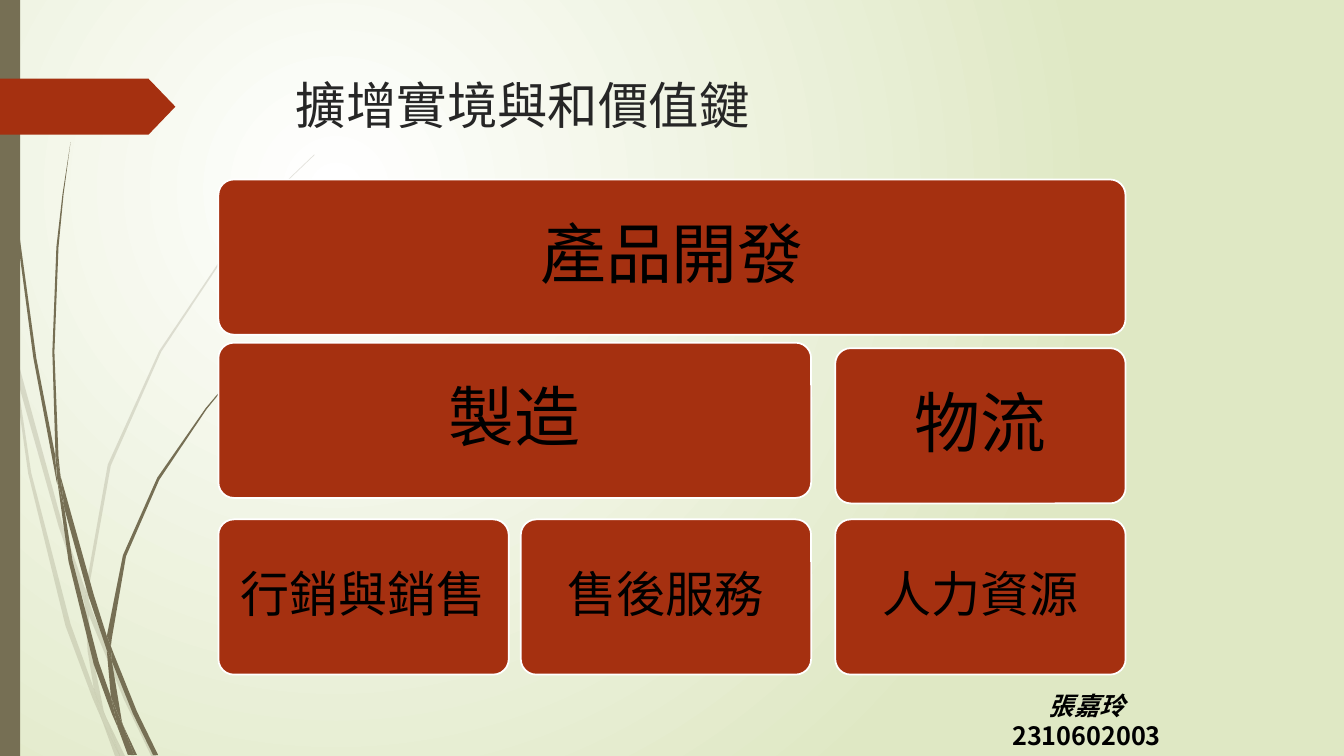
from dataclasses import dataclass

from lxml.etree import SubElement
from pptx import Presentation
from pptx.dml.color import RGBColor
from pptx.enum.shapes import MSO_SHAPE as Preset
from pptx.enum.text import MSO_ANCHOR as Anchor, MSO_AUTO_SIZE as AutoSize, PP_ALIGN as Align
from pptx.oxml.ns import qn
from pptx.shapes.autoshape import Shape
from pptx.slide import Slide
from pptx.text.text import _Paragraph as Paragraph
from pptx.util import Pt

Outline = list[tuple[float, float]]


@dataclass(frozen=True)
class Theme:
    white: str = "FFFFFF"
    green: str = "DFE8C4"
    olive: str = "766F54"
    rust: str = "A53010"
    ink: str = "262626"
    black: str = "000000"
    display_font: str = "League Spartan"
    body_font: str = "Noto Sans CJK SC"
    title_size: float = 36
    large_size: float = 47
    medium_size: float = 35
    author_size: float = 18


@dataclass(frozen=True)
class Card:
    label: str
    left: float
    top: float
    width: float
    size: float
    inset: float


@dataclass(frozen=True)
class Grass:
    opacity: int
    blades: list[Outline]


THEME = Theme()
COLUMNS = (156, 372, 596.6)
CARD_WIDTH, CARD_HEIGHT = 207.4, 110.9
TWO_WIDE = COLUMNS[1] - COLUMNS[0] + CARD_WIDTH
FULL_WIDE = COLUMNS[2] - COLUMNS[0] + CARD_WIDTH
BOTTOM_ROW = 371

CARDS = [
    Card("產品開發", COLUMNS[0], 128.2, FULL_WIDE, THEME.large_size, 14.4),
    Card("製造", COLUMNS[0], 244.8, TWO_WIDE, THEME.large_size, 14.4),
    Card("物流", COLUMNS[2], 248.7, CARD_WIDTH, THEME.large_size, 14.4),
] + [
    Card(label, left, BOTTOM_ROW, CARD_WIDTH, THEME.medium_size, 10.8)
    for label, left in zip(("行銷與銷售", "售後服務", "人力資源"), COLUMNS)
]

PALE_GRASS = Grass(20, [
    [(7.9, 252), (6.5, 231.8), (0, 203), (0, 215.3), (7.2, 247.7)],
    [(41.8, 375.8), (60.5, 431.3), (61.2, 421.9), (44.6, 374.4), (10.1, 248.4), (12.2, 270.7)],
    [(66.2, 437), (63.4, 429.1), (63.4, 439.2), (88.6, 499.7), (108, 540), (111.6, 540), (91.4, 498.2)],
    [(85.7, 540), (89.3, 540), (75.6, 511.9)],
    [(67, 491.8), (50.4, 445.7), (22.3, 337.7), (12.2, 270.7), (7.9, 252), (20.2, 338.4), (46.8, 447.1),
     (66.2, 499), (72.7, 514.1), (71.3, 509)],
    [(60.5, 431.3), (62.6, 465.1), (67, 491.8), (69.1, 498.2), (75.6, 511.9), (74.2, 508.3),
     (65.5, 465.1), (63.4, 439.2), (63.4, 437.8)],
    [(63.4, 420.5), (79.2, 332.6), (115.2, 251.3), (164.9, 176.4), (193, 142.6), (208.8, 126),
     (224.6, 110.9), (224.6, 110.2), (208.1, 126), (193, 141.8), (164.2, 175.7), (113.8, 250.6),
     (77, 331.9), (61.2, 420.5), (61.2, 421.9), (63.4, 429.1)],
    [(72.7, 514.1), (82.1, 540), (85.7, 540)],
    [(63.4, 437.8), (63.4, 439.2), (63.4, 429.1), (61.2, 421.9), (60.5, 431.3)],
    [(69.1, 498.2), (67, 491.8), (71.3, 509), (72.7, 514.1), (85.7, 540), (75.6, 511.9)],
])

DARK_GRASS = Grass(100, [
    [(5, 79.2), (12.2, 167.8), (23.8, 255.6), (40.3, 343.4), (41, 346.3), (39.6, 329), (39.6, 326.2),
     (25.9, 255.6), (13.7, 167), (5.8, 78.5), (3.6, 34.6), (2.9, 0), (2.2, 0), (2.9, 34.6)],
    [(63.4, 426.2), (76.3, 464.4), (76.3, 454.3), (67, 424.8), (43.2, 339.8), (46.1, 363.6)],
    [(81.4, 467.3), (79.2, 461.5), (79.9, 472.3), (95, 509.8), (109.4, 539.3), (113, 539.3), (97.9, 508.3)],
    [(79.2, 497.5), (70.6, 473), (51.8, 400.3), (46.1, 363.6), (41, 343.4), (49, 401), (67, 474.5),
     (79.9, 509.8), (84.2, 519.8), (83.5, 516.2)],
    [(43.2, 339.8), (41.8, 326.2), (38.9, 251.3), (41.8, 176.4), (45.4, 139), (50.4, 101.5),
     (44.6, 139), (40.3, 176.4), (37.4, 251.3), (39.6, 323.3)],
    [(95.8, 539.3), (97.9, 539.3), (87.8, 517.7)],
    [(41, 343.4), (46.1, 363.6), (43.2, 339.8), (39.6, 323.3), (39.6, 326.2)],
    [(79.9, 455.8), (90, 397.4), (113.8, 342.7), (147.6, 292.3), (166.3, 269.3), (176.4, 258.5),
     (187.9, 247.7), (187.2, 247.7), (176.4, 257.8), (166.3, 268.6), (146.9, 291.6), (112.3, 341.3),
     (87.8, 396.7), (76.3, 454.3), (79.2, 461.5)],
    [(84.2, 519.8), (91.4, 539.3), (94.3, 539.3)],
    [(76.3, 464.4), (79.2, 497.5), (83.5, 508.3), (87.8, 517.7), (87.1, 515.5), (79.9, 472.3), (78.5, 468.7)],
    [(76.3, 464.4), (78.5, 468.7), (79.9, 472.3), (79.2, 461.5), (76.3, 454.3)],
    [(83.5, 508.3), (79.2, 497.5), (83.5, 516.2), (84.2, 519.8), (93.6, 539.3), (95.8, 539.3), (87.8, 517.7)],
])


def paint(shape: Shape, color: str) -> None:
    shape.shadow.inherit = False
    shape.fill.solid()
    shape.fill.fore_color.rgb = RGBColor.from_string(color)
    shape.line.fill.background()


def format_runs(paragraph: Paragraph, size: float, font: str, color: str) -> None:
    for run in paragraph.runs:
        run.font.size = Pt(size)
        run.font.name = font
        run.font.color.rgb = RGBColor.from_string(color)
        SubElement(run.font._element, qn("a:ea"), typeface=THEME.body_font)


def draw_background(slide: Slide) -> None:
    fill = slide.background.fill
    fill.gradient()
    for stop, color, position in zip(fill.gradient_stops, (THEME.white, THEME.green), (0, 1)):
        stop.color.rgb = RGBColor.from_string(color)
        stop.position = position
    gradient = slide.element.find(f".//{qn('a:gradFill')}")
    linear = gradient.find(qn("a:lin"))
    circle = gradient.makeelement(qn("a:path"), {"path": "circle"})
    gradient.replace(linear, circle)
    SubElement(circle, qn("a:fillToRect"), l="50000", t="50000", r="100000", b="100000")


def draw_grass(slide: Slide, grass: Grass) -> None:
    for outline in grass.blades:
        start, *others = [(Pt(x), Pt(y)) for x, y in outline]
        builder = slide.shapes.build_freeform(*start)
        builder.add_line_segments(others, close=True)
        blade = builder.convert_to_shape()
        paint(blade, THEME.olive)
        if grass.opacity < 100:
            tint = blade._element.spPr.find(f"{qn('a:solidFill')}/{qn('a:srgbClr')}")
            SubElement(tint, qn("a:alpha"), val=str(grass.opacity * 1000))


def draw_card(slide: Slide, card: Card) -> None:
    panel = slide.shapes.add_shape(
        Preset.ROUNDED_RECTANGLE, Pt(card.left), Pt(card.top), Pt(card.width), Pt(CARD_HEIGHT)
    )
    panel.adjustments[0] = 0.1
    paint(panel, THEME.rust)
    panel.line.color.rgb = RGBColor.from_string(THEME.white)
    panel.line.width = Pt(1.25)
    frame = panel.text_frame
    frame.text = card.label
    frame.word_wrap = True
    frame.vertical_anchor = Anchor.MIDDLE
    frame.margin_left = frame.margin_right = frame.margin_top = frame.margin_bottom = Pt(card.inset)
    label = frame.paragraphs[0]
    label.alignment = Align.CENTER
    label.line_spacing = 0.9
    format_runs(label, card.size, THEME.display_font, THEME.black)


def draw_title(slide: Slide) -> None:
    title = slide.shapes.title
    title.left, title.top, title.width, title.height = Pt(204.2), Pt(49), Pt(702), Pt(100.8)
    frame = title.text_frame
    frame.text = "擴增實境與和價值鍵"
    frame.vertical_anchor = Anchor.TOP
    frame.auto_size = AutoSize.NONE
    frame.paragraphs[0].alignment = Align.LEFT
    format_runs(frame.paragraphs[0], THEME.title_size, THEME.display_font, THEME.ink)


def draw_author(slide: Slide) -> None:
    author = slide.shapes.add_textbox(Pt(714.6), Pt(489.2), Pt(123.1), Pt(50.8))
    frame = author.text_frame
    frame.word_wrap = True
    frame.text = "張嘉玲\n2310602003"
    for line, italic in zip(frame.paragraphs, (True, False)):
        line.alignment = Align.CENTER
        format_runs(line, THEME.author_size, THEME.body_font, THEME.black)
        line.runs[0].font.bold = True
        line.runs[0].font.italic = italic


def main() -> None:
    deck = Presentation()
    deck.slide_width, deck.slide_height = Pt(960), Pt(540)
    slide = deck.slides.add_slide(deck.slide_layouts[5])
    draw_background(slide)
    for grass in (PALE_GRASS, DARK_GRASS):
        draw_grass(slide, grass)
    side_bar = slide.shapes.add_shape(Preset.RECTANGLE, 0, 0, Pt(14.4), Pt(540))
    paint(side_bar, THEME.olive)
    title_arrow = slide.shapes.add_shape(Preset.PENTAGON, 0, Pt(56.2), Pt(125.3), Pt(40))
    title_arrow.adjustments[0] = 0.48
    paint(title_arrow, THEME.rust)
    draw_title(slide)
    for card in CARDS:
        draw_card(slide, card)
    draw_author(slide)
    deck.save("out.pptx")


if __name__ == "__main__":
    main()
